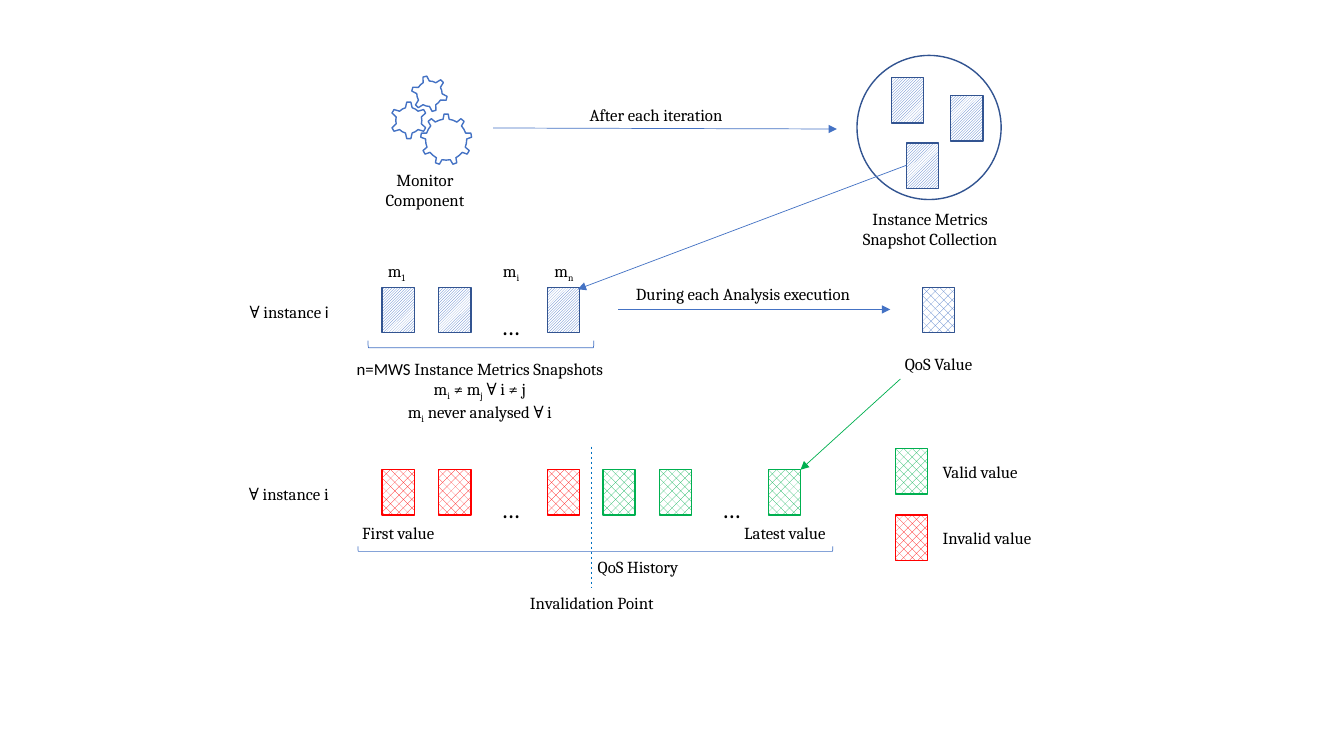
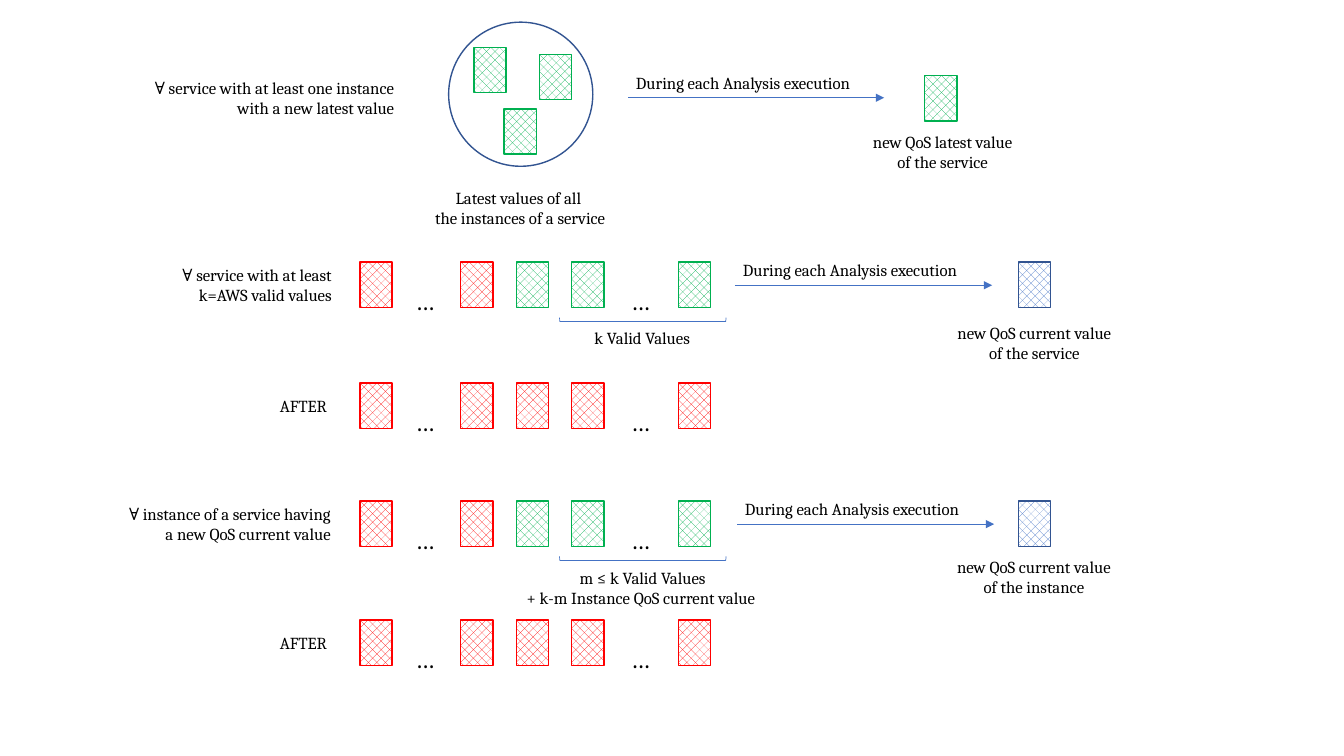
import pptx
import pptx.dml.color
import pptx.enum.dml
import pptx.enum.shapes
import pptx.enum.text
import pptx.oxml
import pptx.oxml.ns
import pptx.util
from pptx.util import Inches

RGBColor = pptx.dml.color.RGBColor
SHAPE = pptx.enum.shapes.MSO_SHAPE
PATTERN = pptx.enum.dml.MSO_PATTERN
ALIGN = pptx.enum.text.PP_ALIGN

BLACK = RGBColor(0x00, 0x00, 0x00)
WHITE = RGBColor(0xFF, 0xFF, 0xFF)
BLUE = RGBColor(0x44, 0x72, 0xC4)
DARK_BLUE = RGBColor(0x32, 0x54, 0x91)
DIVIDER_BLUE = RGBColor(0x00, 0x70, 0xC0)
GREEN = RGBColor(0x00, 0xB0, 0x50)
RED = RGBColor(0xFF, 0x00, 0x00)

FONT = "Cambria"
MARKED_FONT = "Calibri"
CARD_WIDTH, CARD_HEIGHT = 0.32, 0.45

# python-pptx spells the 40 percent member without its first letter
DOTTED = PATTERN.ERCENT_40
# Card kind: pattern, pattern colour, outline colour
SNAPSHOT, CURRENT, VALID, INVALID, ELLIPSIS = "SCVI."
CARD_STYLES = {
    SNAPSHOT: (PATTERN.LIGHT_UPWARD_DIAGONAL, BLUE, DARK_BLUE),
    CURRENT: (DOTTED, BLUE, DARK_BLUE),
    VALID: (DOTTED, GREEN, GREEN),
    INVALID: (DOTTED, RED, RED),
}
HISTORY_COLUMNS = (3.79, 4.35, 4.87, 5.43, 5.98, 6.54, 7.06, 7.62)
SERVICE_COLUMNS = (3.57, 4.02, 4.57, 5.12, 5.67, 6.16, 6.73)


def add_text(slide, text, left, top, width, height=0.3, *, size=12,
             align=ALIGN.LEFT, wrap=False):
    """Add text; `...` marks the second font and ~...~ a subscript."""
    label = slide.shapes.add_textbox(
        Inches(left), Inches(top), Inches(width), Inches(height))
    frame = label.text_frame
    frame.word_wrap = wrap
    frame.auto_size = pptx.enum.text.MSO_AUTO_SIZE.SHAPE_TO_FIT_TEXT
    for number, line in enumerate(text.split("\n")):
        paragraph = frame.add_paragraph() if number else frame.paragraphs[0]
        paragraph.alignment = align
        for i, section in enumerate(line.split("`")):
            for j, part in enumerate(section.split("~")):
                if not part:
                    continue
                run = paragraph.add_run()
                run.text = part
                run.font.size = pptx.util.Pt(size)
                run.font.name = MARKED_FONT if i % 2 else FONT
                run.font.color.rgb = BLACK
                if j % 2:
                    run._r.get_or_add_rPr().set("baseline", "-25000")


def add_outline(shapes, preset, left, top, width, height, *, color=BLUE,
                weight=1, rotation=0, fill=None):
    """Add an outlined preset shape, unfilled unless a fill is given."""
    outline = shapes.add_shape(
        preset, Inches(left), Inches(top), Inches(width), Inches(height))
    outline.shadow.inherit = False
    outline.rotation = rotation
    outline.line.color.rgb = color
    outline.line.width = pptx.util.Pt(weight)
    if fill is None:
        outline.fill.background()
    else:
        outline.fill.solid()
        outline.fill.fore_color.rgb = fill
    return outline


def add_card(slide, kind, left, top):
    """Add one hatched card of the given kind."""
    pattern, color, edge = CARD_STYLES[kind]
    card = add_outline(slide.shapes, SHAPE.RECTANGLE, left, top,
                       CARD_WIDTH, CARD_HEIGHT, color=edge)
    card.fill.patterned()
    card.fill.pattern = pattern
    card.fill.fore_color.rgb = color
    card.fill.back_color.rgb = WHITE


def add_row(slide, kinds, columns, top):
    """Add a row of cards and ellipses, one to each column."""
    for kind, left in zip(kinds, columns):
        if kind == ELLIPSIS:
            add_text(slide, "…", left, top + 0.18, 0.41, 0.4, size=18)
        else:
            add_card(slide, kind, left, top)


def add_bracket(slide, left, top, span, depth):
    """Add a bracket that opens upward under a row."""
    add_outline(slide.shapes, SHAPE.LEFT_BRACKET,
                left + (span - depth) / 2, top + (depth - span) / 2,
                depth, span, weight=0.5, rotation=270)


def add_line(slide, start, end, *, color=BLUE, arrow=True, dashed=False):
    """Add a thin straight line, with an arrowhead at its end if wanted."""
    line = slide.shapes.add_connector(
        pptx.enum.shapes.MSO_CONNECTOR.STRAIGHT,
        *(Inches(length) for length in (*start, *end)))
    line.line.color.rgb = color
    line.line.width = pptx.util.Pt(0.5)
    if dashed:
        line.line.dash_style = pptx.enum.dml.MSO_LINE.DASH
    properties = line._element.spPr
    if arrow:
        head = pptx.oxml.parse_xml(
            '<a:tailEnd %s type="triangle"/>' % pptx.oxml.ns.nsdecls("a"))
        properties.find(pptx.oxml.ns.qn("a:ln")).append(head)
    properties.append(pptx.oxml.parse_xml(
        "<a:effectLst %s/>" % pptx.oxml.ns.nsdecls("a")))


def add_execution_arrow(slide, left, right, y, label_left):
    """Add the arrow of an analysis execution with its label above."""
    add_line(slide, (left, y), (right, y))
    add_text(slide, "During each Analysis execution",
             label_left, y - 0.3, 2.53)


def add_collection(slide, kind, left, top, places, fill=None):
    """Add a circle that holds cards at the given places."""
    add_outline(slide.shapes, SHAPE.OVAL, left, top, 1.43, 1.43,
                color=DARK_BLUE, fill=fill)
    for place in places:
        add_card(slide, kind, *place)


def add_gears(slide):
    """Add the three grouped gears of the monitor."""
    gears = slide.shapes.add_group_shape().shapes
    add_outline(gears, SHAPE.GEAR_9, 4.17, 1.13, 0.51, 0.51)
    add_outline(gears, SHAPE.GEAR_6, 3.87, 1.01, 0.37, 0.37)
    add_outline(gears, SHAPE.GEAR_6, 4.08, 0.75, 0.36, 0.36, rotation=345)


def build_instance_slide(slide):
    """Show how snapshots of an instance become its QoS history."""
    add_gears(slide)
    add_text(slide, "Monitor Component", 3.66, 1.63, 1.11, 0.5,
             align=ALIGN.CENTER, wrap=True)
    add_line(slide, (4.89, 1.27), (8.3, 1.28))
    add_text(slide, "After each iteration", 5.75, 0.99, 1.65)
    add_collection(slide, SNAPSHOT, 8.5, 0.55,
                   ((8.84, 0.77), (9.43, 0.95), (8.99, 1.42)))
    add_text(slide, "Instance Metrics Snapshot Collection",
             8.38, 2.02, 1.69, 0.5, align=ALIGN.CENTER, wrap=True)

    add_text(slide, "∀ instance `i`", 2.29, 2.94, 1.07, align=ALIGN.RIGHT)
    add_row(slide, "SS.S", HISTORY_COLUMNS, 2.85)
    for index, left, width in (("1", 3.75, 0.4), ("i", 4.89, 0.37),
                               ("n", 5.4, 0.41)):
        add_text(slide, f"m~{index}~", left, 2.54, width)
    add_line(slide, (8.99, 1.64), (5.73, 2.87))
    add_bracket(slide, 3.65, 3.38, 2.24, 0.07)
    add_text(slide, "`n=MWS` Instance Metrics Snapshots\n"
             "m~i~ ≠ m~j~ ∀ i ≠ j\nm~i~ never analysed ∀ i",
             3.29, 3.51, 2.94, 0.71, align=ALIGN.CENTER, wrap=True)
    add_execution_arrow(slide, 6.13, 8.83, 3.07, 6.21)
    add_card(slide, CURRENT, 9.15, 2.85)
    add_text(slide, "QoS Value", 8.68, 3.46, 1.26,
             align=ALIGN.CENTER, wrap=True)

    add_text(slide, "∀ instance i", 2.29, 4.75, 1.07, align=ALIGN.RIGHT)
    add_row(slide, "II.IVV.V", HISTORY_COLUMNS, 4.66)
    add_line(slide, (8.93, 3.76), (7.94, 4.66), color=GREEN)
    add_text(slide, "First value", 3.45, 5.14, 1, align=ALIGN.CENTER)
    add_text(slide, "Latest value", 7.23, 5.14, 1.11, align=ALIGN.CENTER)
    add_bracket(slide, 3.55, 5.42, 4.71, 0.05)
    add_text(slide, "QoS History", 5.83, 5.47, 1.11)
    add_line(slide, (5.87, 4.43), (5.87, 5.83), color=DIVIDER_BLUE,
             arrow=False, dashed=True)
    add_text(slide, "Invalidation Point", 4.73, 5.83, 2.28,
             align=ALIGN.CENTER, wrap=True)

    for kind, meaning, top, width in ((VALID, "Valid value", 4.45, 1.05),
                                      (INVALID, "Invalid value", 5.11, 1.16)):
        add_card(slide, kind, 8.88, top)
        add_text(slide, meaning, 9.25, top + 0.08, width)


def add_consumption(slide, top, after_top, arrow_left):
    """Add value rows before and after an analysis, with its result."""
    add_row(slide, "I.IVV.V", SERVICE_COLUMNS, top)
    add_bracket(slide, 5.55, top + 0.55, 1.65, 0.04)
    add_execution_arrow(slide, arrow_left, arrow_left + 2.55, top + 0.23,
                        arrow_left - 0.02)
    add_card(slide, CURRENT, 10.1, top)
    add_row(slide, "I.III.I", SERVICE_COLUMNS, after_top)
    add_text(slide, "AFTER", 2.61, after_top + 0.08, 0.8, align=ALIGN.CENTER)


def build_service_slide(slide):
    """Show how latest and current QoS values of a service arise."""
    add_text(slide, "∀ service with at least one instance\n"
             "with a new latest value", 1.2, 0.72, 2.81, 0.5,
             align=ALIGN.RIGHT)
    add_collection(slide, VALID, 4.45, 0.22,
                   ((4.7, 0.47), (5.35, 0.54), (5, 1.08)), fill=WHITE)
    add_text(slide, "Latest values of all \nthe instances of a service",
             4.14, 1.81, 2.04, 0.5, align=ALIGN.CENTER)
    add_execution_arrow(slide, 6.23, 8.77, 0.97, 6.21)
    add_card(slide, VALID, 9.17, 0.75)
    add_text(slide, "new QoS latest value\nof the service",
             8.47, 1.26, 1.76, 0.5, align=ALIGN.CENTER)

    add_consumption(slide, 2.6, 3.8, 7.29)
    add_text(slide, "∀ service with at least\nk=AWS valid values",
             1.55, 2.58, 1.84, 0.5, align=ALIGN.RIGHT)
    add_text(slide, "k Valid Values", 5.67, 3.2, 1.4,
             align=ALIGN.CENTER, wrap=True)
    add_text(slide, "new QoS current value of the service",
             9.36, 3.15, 1.8, 0.5, align=ALIGN.CENTER, wrap=True)

    add_consumption(slide, 4.97, 6.15, 7.31)
    add_text(slide, "∀ instance of a service having\n"
             "a new QoS current value", 0.99, 4.95, 2.39, 0.5,
             align=ALIGN.RIGHT)
    add_text(slide, "m ≤ k Valid Values\n+ k-m Instance QoS current value ",
             4.81, 5.58, 3.13, 0.5, align=ALIGN.CENTER, wrap=True)
    add_text(slide, "new QoS current value of the instance",
             9.32, 5.47, 1.87, 0.5, align=ALIGN.CENTER, wrap=True)


def main():
    """Build both slides and save the presentation."""
    presentation = pptx.Presentation()
    presentation.slide_width = Inches(13.33)
    presentation.slide_height = Inches(7.5)
    blank = presentation.slide_layouts[6]
    for build in (build_instance_slide, build_service_slide):
        build(presentation.slides.add_slide(blank))
    presentation.save("out.pptx")


main()
